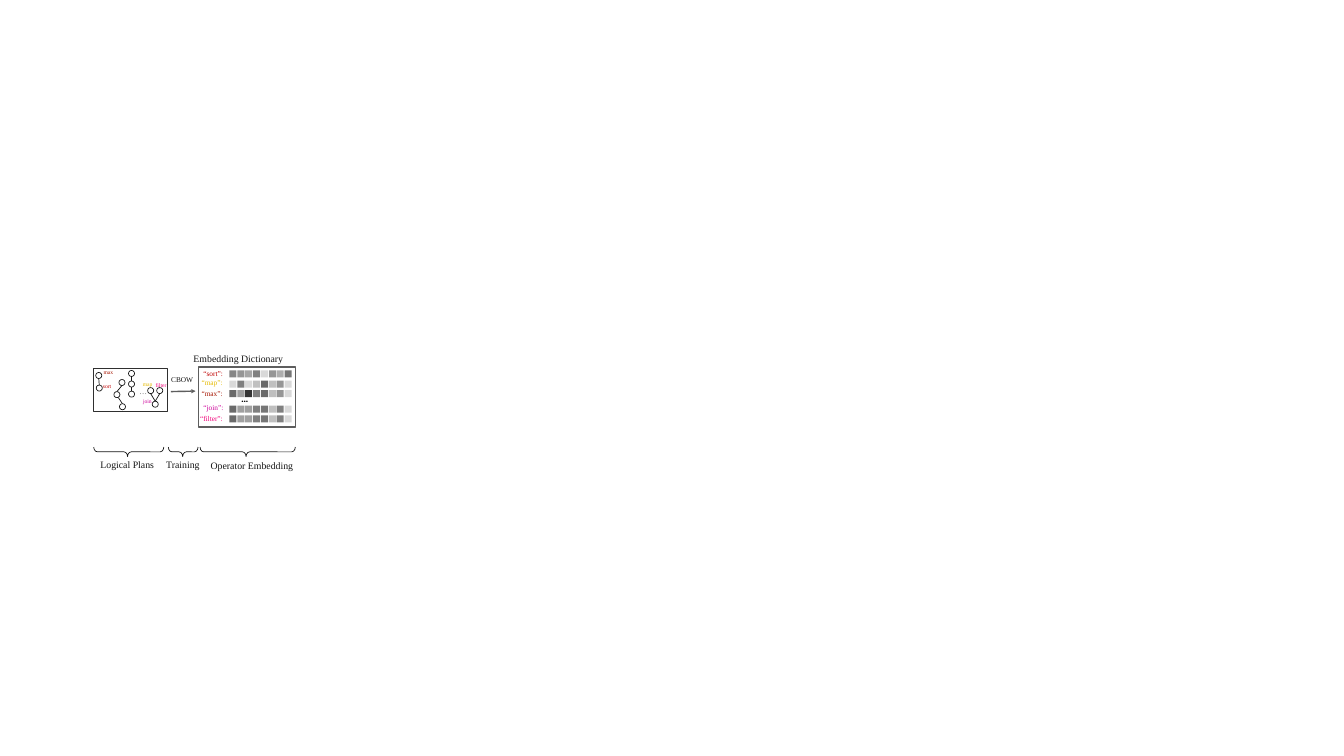
from dataclasses import dataclass

from lxml import etree
from pptx import Presentation
from pptx.dml.color import RGBColor
from pptx.enum.shapes import MSO_CONNECTOR, MSO_SHAPE
from pptx.enum.text import MSO_ANCHOR, MSO_AUTO_SIZE, PP_ALIGN
from pptx.oxml.ns import qn
from pptx.util import Emu, Pt

RECT = MSO_SHAPE.RECTANGLE
CIRCLE = MSO_SHAPE.OVAL
BRACE = MSO_SHAPE.RIGHT_BRACE
STRAIGHT = MSO_CONNECTOR.STRAIGHT
TOP, MIDDLE = MSO_ANCHOR.TOP, MSO_ANCHOR.MIDDLE
CENTER = PP_ALIGN.CENTER
FIT_SHAPE = MSO_AUTO_SIZE.SHAPE_TO_FIT_TEXT
EMU_PER_PX = 9144


@dataclass(frozen=True)
class Theme:
    font: str = "Times New Roman"
    dots_font: str = "Roboto"
    ink: str = "151515"
    frame: str = "2F2F2F"
    gray: str = "5E5E5E"
    white: str = "FFFFFF"
    black: str = "000000"
    sort: str = "C00000"
    max: str = "A61500"
    map: str = "E5BA00"
    join: str = "CC0099"
    filter: str = "F10079"
    caption: float = 14
    label: float = 10.5
    dots: float = 11
    node: float = 8


THEME = Theme()
NODE = 12
CELL = 14
CELL_LEFT, CELL_SPAN = 455, 110

NODES = {
    "max": (190, 739), "sort": (191, 764),
    "chain_top": (255, 735), "chain_mid": (255, 756), "chain_end": (255, 776),
    "bent_top": (236, 753), "bent_end": (237, 801), "bent_mid": (226, 777),
    "join": (302, 796), "filter": (311, 769), "map": (293, 769),
}
EDGES = [
    ("max", "sort", 0), ("chain_top", "chain_mid", 0),
    ("chain_mid", "chain_end", 0), ("bent_top", "bent_mid", 0),
    ("bent_mid", "bent_end", 3), ("filter", "join", 0), ("map", "join", 0),
]
NODE_LABELS = [
    ("sort", (189, 755, 47, 24), THEME.sort),
    ("max", (194, 728, 42, 24), THEME.max),
    ("join", (273, 785, 39, 24), THEME.join),
    ("map", (273, 750, 40, 24), THEME.map),
    ("filter", (296, 752, 47, 24), THEME.filter),
]
EMBEDDINGS = [
    ("“sort”:", (391, 727, 64, 28), THEME.sort, 735,
     "868686 969696 A6A6A6 808080 D9D9D9 969696 AEAEAE 767676"),
    ("“map”:", (388, 746, 66, 29), THEME.map, 755,
     "D9D9D9 808080 D9D9D9 C0C0C0 6A6A6A C0C0C0 969696 D9D9D9"),
    ("“max”:", (386, 767, 70, 28), THEME.max, 774,
     "6A6A6A A0A0A0 353535 808080 6A6A6A BFBFBF 969696 D9D9D9"),
    ("“join”:", (377, 796, 93, 29), THEME.join, 805,
     "6A6A6A A0A0A0 A0A0A0 808080 767676 BFBFBF 808080 D9D9D9"),
    ("“filter”:", (382, 816, 75, 29), THEME.filter, 824,
     "6A6A6A A0A0A0 A0A0A0 808080 767676 BFBFBF 808080 D9D9D9"),
]
STAGES = [
    ("Logical Plans", (183, 906, 139, 34), (246, 827, 19, 139)),
    ("Training", (312, 906, 102, 34), (354, 867, 19, 59)),
    ("Operator Embedding", (408, 907, 184, 34), (482, 802, 19, 189)),
]


def px(n):
    return Emu(n * EMU_PER_PX)


def rgb(color):
    return RGBColor.from_string(color)


def add_shape(s, kind, box, fill=None, line=None, width=1):
    sp = s.shapes.add_shape(kind, *map(px, box))
    sp.shadow.inherit = False
    if fill:
        sp.fill.solid()
        sp.fill.fore_color.rgb = rgb(fill)
    else:
        sp.fill.background()
    if line:
        sp.line.color.rgb = rgb(line)
        sp.line.width = Pt(width)
    else:
        sp.line.fill.background()
    return sp


def add_text(s, text, box, size=THEME.caption, color=THEME.ink, font=THEME.font,
             bold=False, wrap=True, anchor=TOP, inset=None):
    tf = s.shapes.add_textbox(*map(px, box)).text_frame
    tf.word_wrap = wrap
    tf.auto_size = FIT_SHAPE
    tf.vertical_anchor = anchor
    if inset is not None:
        tf.margin_left = tf.margin_right = px(inset)
        tf.margin_top = tf.margin_bottom = px(inset)
    p = tf.paragraphs[0]
    p.alignment = CENTER
    r = p.add_run()
    r.text = text
    r.font.name = font
    r.font.size = Pt(size)
    r.font.bold = bold
    r.font.color.rgb = rgb(color)


def add_line(s, start, end, color=THEME.ink, width=1, arrow=False):
    line = s.shapes.add_connector(STRAIGHT, *map(px, start + end))
    line.line.color.rgb = rgb(color)
    line.line.width = Pt(width)
    if arrow:
        etree.SubElement(line.line._get_or_add_ln(), qn("a:tailEnd"), type="triangle")
    etree.SubElement(line._element.spPr, qn("a:effectLst"))


def add_brace(s, box):
    brace = add_shape(s, BRACE, box, line=THEME.ink)
    brace.rotation = 90
    brace.adjustments[0] = 0.379
    brace.adjustments[1] = 0.517


def draw_plans(s):
    add_shape(s, RECT, (186, 730, 147, 87), line=THEME.frame)
    for left, top in NODES.values():
        add_shape(s, CIRCLE, (left, top, NODE, NODE), THEME.white, THEME.ink)
    for upper, lower, shift in EDGES:
        (x1, y1), (x2, y2) = NODES[upper], NODES[lower]
        add_line(s, (x1 + NODE // 2 + shift, y1 + NODE), (x2 + NODE // 2, y2))
    for text, box, color in NODE_LABELS:
        add_text(s, text, box, size=THEME.node, color=color)
    add_text(s, "…", (267, 763, 30, 29), size=THEME.dots, color=THEME.gray)


def draw_training(s):
    add_line(s, (339, 777), (388, 776), color=THEME.gray, width=2, arrow=True)
    add_text(s, "CBOW", (326, 740, 71, 28), size=THEME.label)


def draw_dictionary(s):
    add_text(s, "Embedding Dictionary", (357, 694, 232, 34))
    add_shape(s, RECT, (394, 728, 193, 119), line=THEME.gray, width=2)
    for text, box, color, top, grays in EMBEDDINGS:
        add_text(s, text, box, size=THEME.label, color=color)
        shades = grays.split()
        for i, shade in enumerate(shades):
            left = CELL_LEFT + round(i * CELL_SPAN / (len(shades) - 1))
            add_shape(s, RECT, (left, top, CELL, CELL), shade)
    add_text(s, "…", (470, 774, 31, 35), color=THEME.black, font=THEME.dots_font,
             bold=True, wrap=False, anchor=MIDDLE, inset=6)


def draw_stages(s):
    for text, box, brace_box in STAGES:
        add_brace(s, brace_box)
        add_text(s, text, box)


def main():
    prs = Presentation()
    prs.slide_width, prs.slide_height = px(2667), px(1500)
    s = prs.slides.add_slide(prs.slide_layouts[6])
    draw_plans(s)
    draw_training(s)
    draw_dictionary(s)
    draw_stages(s)
    prs.save("out.pptx")


if __name__ == "__main__":
    main()
